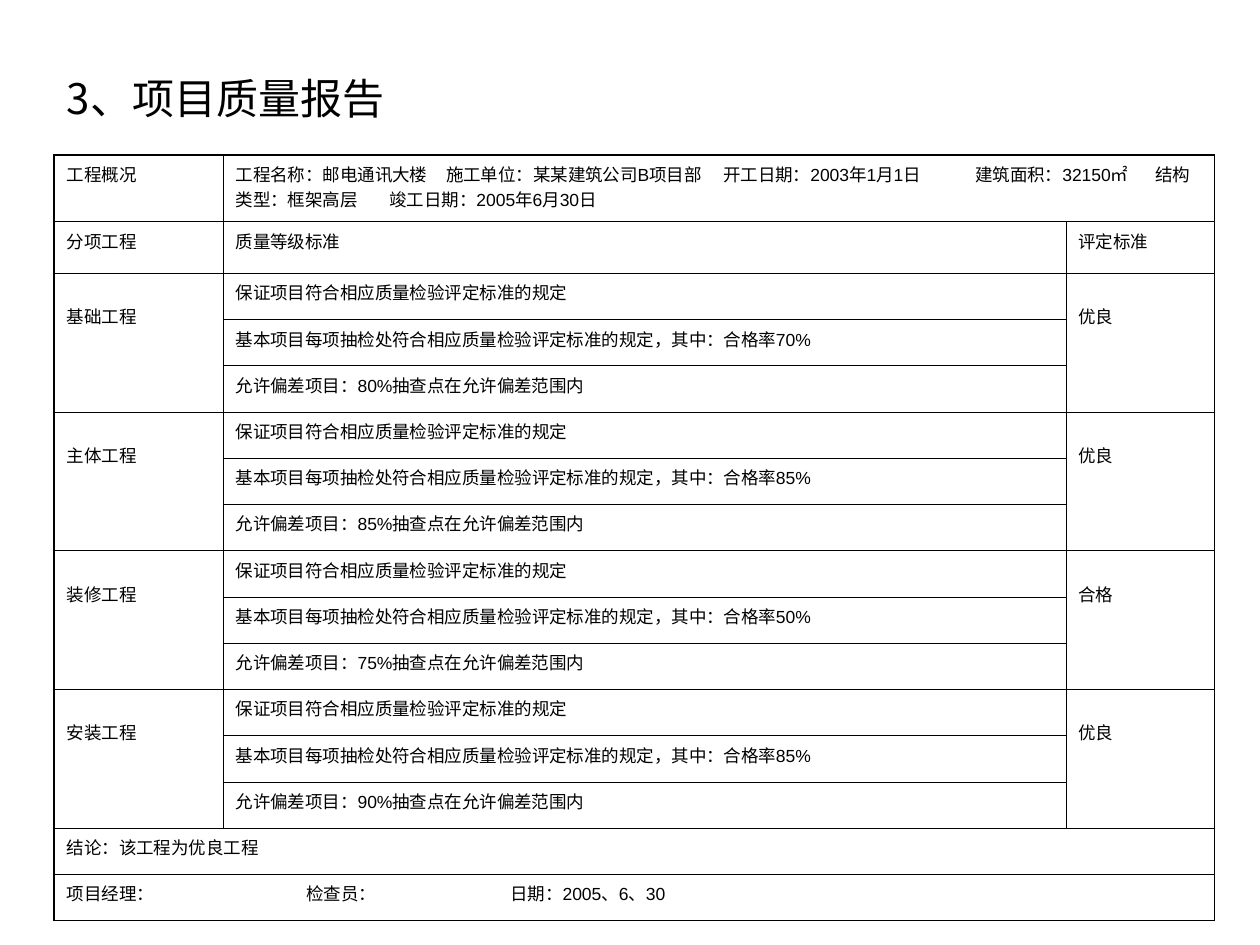
from lxml.etree import SubElement
from pptx import Presentation
from pptx.dml.color import RGBColor
from pptx.enum.lang import MSO_LANGUAGE_ID
from pptx.enum.text import MSO_ANCHOR, PP_ALIGN
from pptx.oxml.ns import qn
from pptx.util import Inches, Pt

CJK_FONT = "Noto Sans CJK SC"
BLACK, WHITE = "000000", "FFFFFF"
OUTER_LINE, INNER_LINE = Pt(1.08), Pt(0.45)
COLUMN_WIDTHS = [1.34, 6.69, 1.18]
OVERVIEW_HEIGHT, HEADING_HEIGHT = 0.53, 0.41

OVERVIEW = "\t".join([
    "工程名称：邮电通讯大楼", "施工单位：某某建筑公司B项目部", "开工日期：2003年1月1日",
    "建筑面积：32150㎡", "结构类型：框架高层", "竣工日期：2005年6月30日",
])
OVERVIEW_TABS = [1.22, 1.67, 3.87, 5.87, 7.3]
SIGNATURES = "项目经理：\t检查员：\t日期：2005、6、30"
SIGNATURE_TABS = [1.9, 3.52]

# section, pass rate %, points within tolerance %, grade
SECTIONS = [
    ("基础工程", 70, 80, "优良"),
    ("主体工程", 85, 85, "优良"),
    ("装修工程", 50, 75, "合格"),
    ("安装工程", 85, 90, "优良"),
]
STANDARDS = [
    "保证项目符合相应质量检验评定标准的规定",
    "基本项目每项抽检处符合相应质量检验评定标准的规定，其中：合格率{passed}%",
    "允许偏差项目：{within}%抽查点在允许偏差范围内",
]


def color(value):
    return RGBColor.from_string(value)


def format_text(paragraph, size, latin):
    font = paragraph.font
    font.size, font.name = Pt(size), latin
    font.color.rgb = color(BLACK)
    font.language_id = MSO_LANGUAGE_ID.SIMPLIFIED_CHINESE
    defaults = paragraph._p.pPr.find(qn("a:defRPr"))
    SubElement(defaults, qn("a:ea"), typeface=CJK_FONT)


def add_tabs(paragraph, stops):
    tab_list = SubElement(paragraph._p.get_or_add_pPr(), qn("a:tabLst"))
    for stop in stops:
        SubElement(tab_list, qn("a:tab"), pos=str(Inches(stop)), algn="l")


def write_cell(cell, text, tabs=(), top=0.05):
    cell.text = text
    cell.margin_top = Inches(top)
    paragraph = cell.text_frame.paragraphs[0]
    if tabs:
        add_tabs(paragraph, tabs)
    format_text(paragraph, 10, "Arial")


def frame_cells(table):
    """Draw a heavier outer frame, thin inner rules and white fills."""
    last_row, last_column = len(table.rows), len(table.columns)
    for r in range(last_row):
        for c in range(last_column):
            cell = table.cell(r, c)
            on_frame = {
                "a:lnL": c == 0,
                "a:lnR": c + cell.span_width == last_column,
                "a:lnT": r == 0,
                "a:lnB": r + cell.span_height == last_row,
            }
            properties = cell._tc.get_or_add_tcPr()
            for edge, outer in on_frame.items():
                width = OUTER_LINE if outer else INNER_LINE
                line = SubElement(properties, qn(edge), w=str(width))
                line_fill = SubElement(line, qn("a:solidFill"))
                SubElement(line_fill, qn("a:srgbClr"), val=BLACK)
            cell.fill.solid()
            cell.fill.fore_color.rgb = color(WHITE)


def add_title(slide, left, top, width, height):
    title = slide.shapes.title
    title.left, title.top = Inches(left), Inches(top)
    title.width, title.height = Inches(width), Inches(height)
    title.text_frame.text = "3、项目质量报告"
    title.text_frame.vertical_anchor = MSO_ANCHOR.MIDDLE
    heading = title.text_frame.paragraphs[0]
    heading.alignment = PP_ALIGN.LEFT
    format_text(heading, 24, CJK_FONT)


def add_quality_table(slide, left, top, width, height):
    section_rows = len(STANDARDS)
    conclusion_row = 2 + section_rows * len(SECTIONS)
    row_count = conclusion_row + 2
    table = slide.shapes.add_table(
        row_count, len(COLUMN_WIDTHS),
        Inches(left), Inches(top), Inches(width), Inches(height)).table
    table.first_row = table.horz_banding = False
    for column, column_width in zip(table.columns, COLUMN_WIDTHS):
        column.width = Inches(column_width)
    body_height = (height - OVERVIEW_HEIGHT - HEADING_HEIGHT) / (row_count - 2)
    row_heights = [OVERVIEW_HEIGHT, HEADING_HEIGHT] + [body_height] * (row_count - 2)
    for row, row_height in zip(table.rows, row_heights):
        row.height = Inches(row_height)

    table.cell(0, 1).merge(table.cell(0, 2))
    write_cell(table.cell(0, 0), "工程概况")
    write_cell(table.cell(0, 1), OVERVIEW, OVERVIEW_TABS)
    for c, heading in enumerate(["分项工程", "质量等级标准", "评定标准"]):
        write_cell(table.cell(1, c), heading)

    for index, (section, passed, within, grade) in enumerate(SECTIONS):
        first = 2 + index * section_rows
        for c, label in ((0, section), (2, grade)):
            table.cell(first, c).merge(table.cell(first + section_rows - 1, c))
            write_cell(table.cell(first, c), label, top=0.24)
        for offset, standard in enumerate(STANDARDS):
            write_cell(table.cell(first + offset, 1),
                       standard.format(passed=passed, within=within))

    closing = [("结论：该工程为优良工程", ()), (SIGNATURES, SIGNATURE_TABS)]
    for r, (text, tabs) in enumerate(closing, conclusion_row):
        table.cell(r, 0).merge(table.cell(r, 2))
        write_cell(table.cell(r, 0), text, tabs)
    frame_cells(table)


def main():
    presentation = Presentation()
    presentation.slide_width, presentation.slide_height = Inches(10), Inches(7.5)
    slide = presentation.slides.add_slide(presentation.slide_layouts[5])
    add_title(slide, 0.43, 0.4, 9.21, 0.75)
    add_quality_table(slide, 0.43, 1.23, 9.21, 6.08)
    presentation.save("out.pptx")


if __name__ == "__main__":
    main()
